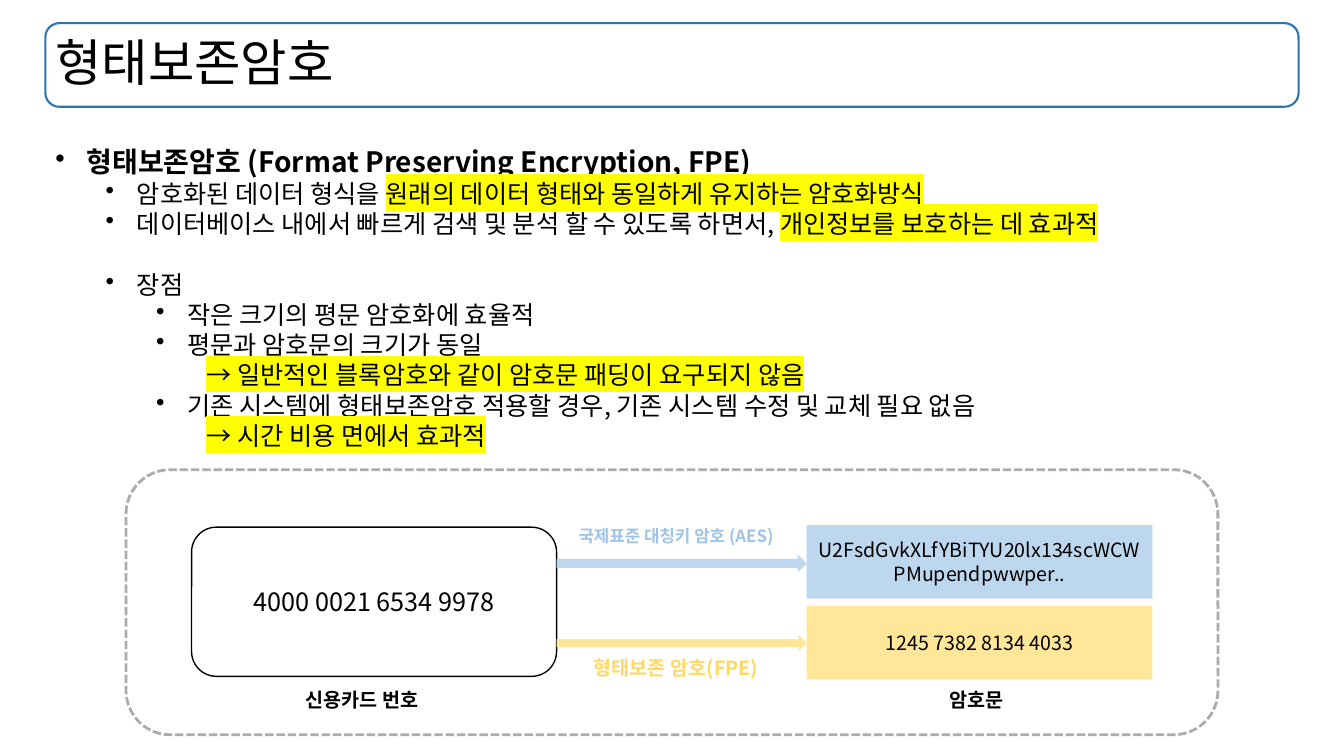
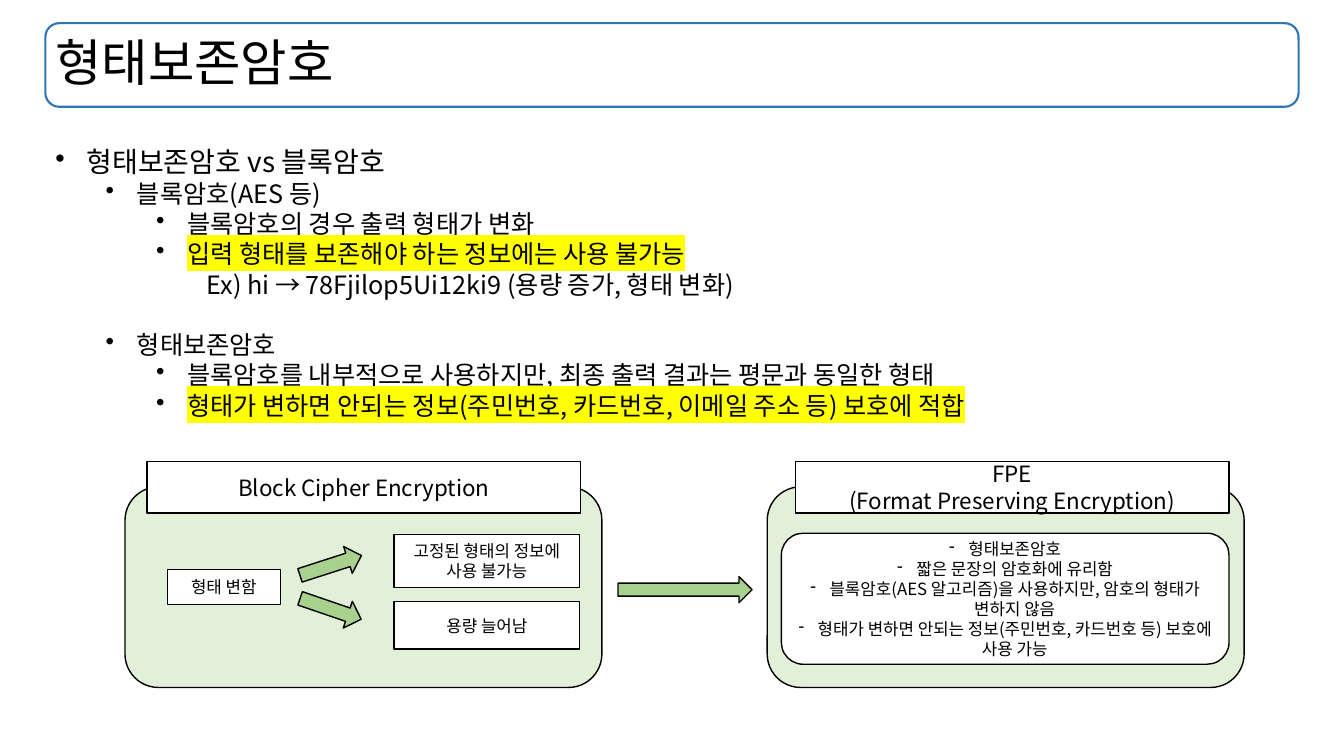
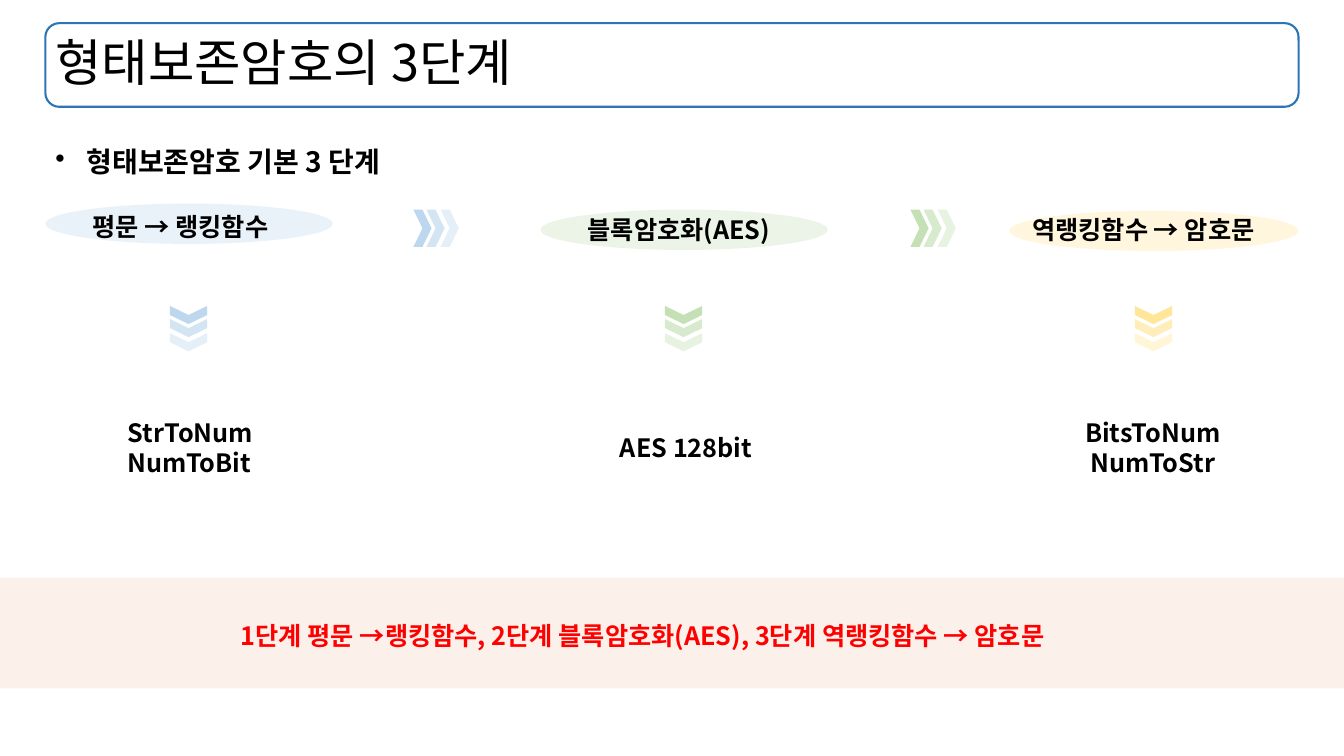
from dataclasses import dataclass
from typing import Any, Optional

import pptx
import pptx.dml.color
import pptx.enum.dml
import pptx.enum.shapes
import pptx.enum.text
import pptx.oxml
import pptx.oxml.ns
import pptx.util

Inches = pptx.util.Inches
Pt = pptx.util.Pt
Shapes = pptx.enum.shapes.MSO_SHAPE
Align = pptx.enum.text.PP_ALIGN
Anchor = pptx.enum.text.MSO_ANCHOR
qn = pptx.oxml.ns.qn

# Shared style
FONT = "Noto Sans CJK KR"
BLACK, WHITE, RED = "000000", "FFFFFF", "FF0000"
TITLE_BLUE, FRAME_GREY, MARKER = "2E75B6", "AFABAB", "FFFF00"
BLUE, GREEN, YELLOW = "BDD7EE", "C5E0B4", "FFE699"
BLUE_TEXT, YELLOW_TEXT = "9DC3E6", "FFD966"
PANEL_GREEN, ARROW_GREEN, BAND = "E2F0D9", "A9D18E", "FBE5D6"
MARGIN, CONTENT_WIDTH = 0.45, 12.43
HANG = 0.31
BLANK_LINE = 21.6


@dataclass(frozen=True)
class Box:
    left: float
    top: float
    width: float
    height: float


@dataclass(frozen=True)
class Style:
    size: float = 18
    color: str = BLACK
    bold: bool = False
    align: Any = Align.LEFT
    bullet: str = ""


@dataclass(frozen=True)
class Outline:
    color: str = BLACK
    width: float = 1
    dash: Any = None


@dataclass(frozen=True)
class Item:
    """One line of the body: plain text followed by marked text."""
    level: int
    plain: str = ""
    marked: str = ""
    bold: bool = False
    gap: float = 0


@dataclass(frozen=True)
class Stage:
    ellipse: Box
    color: str
    heading: str
    heading_box: Box
    chevron_left: float
    details: list[str]
    details_box: Box
    details_align: Any = Align.LEFT


THIN = Outline()
CENTERED = Style(align=Align.CENTER)


def rgb(color: str) -> pptx.dml.color.RGBColor:
    return pptx.dml.color.RGBColor.from_string(color)


def apply_format(target: Any, values: dict[str, Any]) -> None:
    for name, value in values.items():
        setattr(target, name, value)


# Text helpers
def add_run(paragraph: Any, text: str, style: Style, highlight: str = "") -> None:
    run = paragraph.add_run()
    run.text = text
    apply_format(run.font, {"size": Pt(style.size), "bold": style.bold, "name": FONT})
    run.font.color.rgb = rgb(style.color)
    properties = run._r.get_or_add_rPr()
    east_asian = properties.makeelement(qn("a:ea"), {"typeface": FONT})
    properties.find(qn("a:latin")).addnext(east_asian)
    if highlight:
        marker = properties.makeelement(qn("a:highlight"), {})
        marker.append(marker.makeelement(qn("a:srgbClr"), {"val": highlight}))
        properties.find(qn("a:solidFill")).addnext(marker)


def set_indent(paragraph: Any, left: float, hanging: float, bullet: str) -> None:
    properties = paragraph._p.get_or_add_pPr()
    properties.set("marL", str(Inches(left)))
    properties.set("indent", str(-Inches(hanging)))
    if bullet:
        properties.append(properties.makeelement(qn("a:buChar"), {"char": bullet}))


def next_paragraph(frame: Any, index: int) -> Any:
    return frame.paragraphs[0] if index == 0 else frame.add_paragraph()


def write_lines(frame: Any, lines: list[str], style: Style) -> None:
    for index, line in enumerate(lines):
        paragraph = next_paragraph(frame, index)
        if style.bullet:
            set_indent(paragraph, 0.19, 0.19, style.bullet)
        paragraph.alignment = style.align
        add_run(paragraph, line, style)


# Shape helpers
def place(box: Box) -> list[int]:
    return [Inches(value) for value in (box.left, box.top, box.width, box.height)]


def add_shape(slide: Any, kind: Any, box: Box, fill: str = "",
              outline: Optional[Outline] = None, lines: Optional[list[str]] = None,
              style: Style = CENTERED, opacity: int = 100, rotation: float = 0) -> Any:
    shape = slide.shapes.add_shape(kind, *place(box))
    shape.shadow.inherit = False
    shape.rotation = rotation
    if fill:
        shape.fill.solid()
        shape.fill.fore_color.rgb = rgb(fill)
        if opacity < 100:
            color = shape._element.spPr.find(".//" + qn("a:srgbClr"))
            color.append(color.makeelement(qn("a:alpha"), {"val": str(opacity * 1000)}))
    else:
        shape.fill.background()
    if outline:
        shape.line.color.rgb = rgb(outline.color)
        apply_format(shape.line, {"width": Pt(outline.width), "dash_style": outline.dash})
    else:
        shape.line.fill.background()
    if lines:
        apply_format(shape.text_frame, {"word_wrap": True, "vertical_anchor": Anchor.MIDDLE})
        write_lines(shape.text_frame, lines, style)
    return shape


def add_text(slide: Any, box: Box, lines: list[str], style: Style, wrap: bool = True) -> None:
    frame = slide.shapes.add_textbox(*place(box)).text_frame
    frame.word_wrap = wrap
    write_lines(frame, lines, style)


def add_body(slide: Any, height: float, items: list[Item]) -> None:
    box = Box(MARGIN, 1.22, 12.23, height)
    frame = slide.shapes.add_textbox(*place(box)).text_frame
    frame.word_wrap = True
    for index, item in enumerate(items):
        paragraph = next_paragraph(frame, index)
        paragraph.level = item.level
        if item.level == 3:
            set_indent(paragraph, 1.5, 0, "")
        else:
            set_indent(paragraph, HANG + 0.5 * item.level, HANG, "•")
        if item.level == 0:
            paragraph.line_spacing = 1.5
        if item.gap:
            paragraph.space_before = Pt(item.gap)
        style = Style(20 if item.level == 0 else 18, bold=item.bold)
        for text, highlight in ((item.plain, ""), (item.marked, MARKER)):
            if text:
                add_run(paragraph, text, style, highlight)


def new_slide(presentation: Any, title: str) -> Any:
    slide = presentation.slides.add_slide(presentation.slide_layouts[6])
    title_shape = add_shape(slide, Shapes.ROUNDED_RECTANGLE,
                            Box(MARGIN, 0.23, CONTENT_WIDTH, 0.83),
                            outline=Outline(TITLE_BLUE, 1.5), lines=[title], style=Style(36))
    title_shape.text_frame.margin_left = Inches(0.06)
    title_shape.text_frame.paragraphs[0].line_spacing = 0.9
    return slide


# Slide 1: what the method is
def build_overview(presentation: Any) -> None:
    slide = new_slide(presentation, "형태보존암호")
    add_body(slide, 3.97, [
        Item(0, "형태보존암호 (Format Preserving Encryption, FPE)", bold=True),
        Item(1, "암호화된 데이터 형식을 ", "원래의 데이터 형태와 동일하게 유지하는 암호화방식"),
        Item(1, "데이터베이스 내에서 빠르게 검색 및 분석 할 수 있도록 하면서, ",
             "개인정보를 보호하는 데 효과적"),
        Item(1, "장점", gap=BLANK_LINE),
        Item(2, "작은 크기의 평문 암호화에 효율적"),
        Item(2, "평문과 암호문의 크기가 동일"),
        Item(3, marked="→ 일반적인 블록암호와 같이 암호문 패딩이 요구되지 않음"),
        Item(2, "기존 시스템에 형태보존암호 적용할 경우, 기존 시스템 수정 및 교체 필요 없음"),
        Item(3, marked="→ 시간 비용 면에서 효과적"),
    ])

    # Card number and its two ciphertexts
    add_shape(slide, Shapes.ROUNDED_RECTANGLE, Box(1.9, 5.23, 3.62, 1.48), WHITE, THIN,
              ["4000 0021 6534 9978"])
    for arrow_top, arrow_height, result_top, color, ciphertext in (
        (5.5, 0.18, 5.21, BLUE, "U2FsdGvkXLfYBiTYU20lx134scWCWPMupendpwwper.."),
        (6.3, 0.16, 6.01, YELLOW, "1245 7382 8134 4033"),
    ):
        add_shape(slide, Shapes.RIGHT_ARROW, Box(5.52, arrow_top, 2.48, arrow_height), color)
        add_shape(slide, Shapes.RECTANGLE, Box(8, result_top, 3.43, 0.73), color,
                  lines=[ciphertext], style=Style(14, align=Align.CENTER))
    for box, label, size, color in (
        (Box(2.93, 6.78, 1.45, 0.34), "신용카드 번호", 14, BLACK),
        (Box(5.79, 6.46, 1.95, 0.34), "형태보존 암호(FPE)", 14, YELLOW_TEXT),
        (Box(5.64, 5.17, 2.64, 0.3), "국제표준 대칭키 암호 (AES)", 12, BLUE_TEXT),
        (Box(9.32, 6.78, 0.81, 0.34), "암호문", 14, BLACK),
    ):
        add_text(slide, box, [label], Style(size, color, bold=True))
    add_shape(slide, Shapes.ROUNDED_RECTANGLE, Box(1.25, 4.66, 10.83, 2.63),
              outline=Outline(FRAME_GREY, 2, pptx.enum.dml.MSO_LINE.SQUARE_DOT))


# Slide 2: comparison with block ciphers
def build_comparison(presentation: Any) -> None:
    slide = new_slide(presentation, "형태보존암호")
    small = Style(12, align=Align.CENTER)

    # Panels with headers
    for panel_left, header_left, header in (
        (1.24, 1.46, ["Block Cipher Encryption"]),
        (7.61, 7.89, ["FPE", "(Format Preserving Encryption)"]),
    ):
        add_shape(slide, Shapes.ROUNDED_RECTANGLE, Box(panel_left, 4.83, 4.73, 1.99),
                  PANEL_GREEN, THIN)
        add_shape(slide, Shapes.RECTANGLE, Box(header_left, 4.58, 4.3, 0.51), WHITE, THIN,
                  header, Style(16, align=Align.CENTER))

    # Panel contents
    for box, label in (
        (Box(1.66, 5.65, 1.12, 0.35), "형태 변함"),
        (Box(3.91, 5.3, 1.84, 0.53), "고정된 형태의 정보에 사용 불가능"),
        (Box(3.91, 5.97, 1.84, 0.47), "용량 늘어남"),
    ):
        add_shape(slide, Shapes.RECTANGLE, box, WHITE, THIN, [label], small)
    add_shape(slide, Shapes.ROUNDED_RECTANGLE, Box(7.75, 5.29, 4.44, 1.3), WHITE, THIN, [
        "형태보존암호",
        "짧은 문장의 암호화에 유리함",
        "블록암호(AES 알고리즘)을 사용하지만, 암호의 형태가 변하지 않음",
        "형태가 변하면 안되는 정보(주민번호, 카드번호 등) 보호에 사용 가능",
    ], Style(12, align=Align.CENTER, bullet="-"))

    # Arrows
    for box, rotation in (
        (Box(6.13, 5.72, 1.33, 0.26), 0),
        (Box(2.96, 5.47, 0.64, 0.28), 342.1),
        (Box(2.96, 5.9, 0.64, 0.28), 18.9),
    ):
        add_shape(slide, Shapes.RIGHT_ARROW, box, ARROW_GREEN, THIN, rotation=rotation)

    add_body(slide, 3.37, [
        Item(0, "형태보존암호 vs 블록암호"),
        Item(1, "블록암호(AES 등)"),
        Item(2, "블록암호의 경우 출력 형태가 변화"),
        Item(2, marked="입력 형태를 보존해야 하는 정보에는 사용 불가능"),
        Item(3, "Ex) hi → 78Fjilop5Ui12ki9 (용량 증가, 형태 변화)"),
        Item(1, "형태보존암호", gap=BLANK_LINE),
        Item(2, "블록암호를 내부적으로 사용하지만, 최종 출력 결과는 평문과 동일한 형태"),
        Item(2, marked="형태가 변하면 안되는 정보(주민번호, 카드번호, 이메일 주소 등) 보호에 적합"),
    ])


# Slide 3: the three stages
def add_chevrons(slide: Any, left: float, top: float, color: str, down: bool = False) -> None:
    for offset, opacity in ((0, 100), (0.13, 66), (0.27, 39)):
        box = Box(left if down else left + offset, top + offset if down else top, 0.18, 0.37)
        add_shape(slide, Shapes.CHEVRON, box, color, opacity=opacity,
                  rotation=90 if down else 0)


def build_stages(presentation: Any) -> None:
    slide = new_slide(presentation, "형태보존암호의 3단계")
    stages = [
        Stage(Box(0.45, 2.02, 2.85, 0.4), BLUE, "평문 → 랭킹함수", Box(0.82, 2.05, 2.1, 0.4),
              1.78, ["StrToNum", "NumToBit"], Box(1.17, 4.09, 1.63, 0.71)),
        Stage(Box(5.36, 2.08, 2.85, 0.4), GREEN, "블록암호화(AES)", Box(5.73, 2.08, 2.22, 0.4),
              6.69, ["AES 128bit"], Box(6.05, 4.24, 1.65, 0.4)),
        Stage(Box(10.01, 2.09, 2.87, 0.4), YELLOW, "역랭킹함수 → 암호문",
              Box(10.14, 2.08, 2.61, 0.4), 11.35, ["BitsToNum", "NumToStr"],
              Box(10.57, 4.09, 1.73, 0.71), Align.CENTER),
    ]
    for stage in stages:
        add_shape(slide, Shapes.OVAL, stage.ellipse, stage.color, opacity=33)
        add_text(slide, stage.heading_box, [stage.heading], Style(bold=True), wrap=False)
        add_chevrons(slide, stage.chevron_left, 2.94, stage.color, down=True)
        add_text(slide, stage.details_box, stage.details,
                 Style(bold=True, align=stage.details_align), wrap=False)
    for left, color in ((4.1, BLUE), (9.03, GREEN)):
        add_chevrons(slide, left, 2.08, color)

    # Summary band
    add_shape(slide, Shapes.RECTANGLE, Box(0, 5.73, 13.33, 1.1), BAND, opacity=50)
    add_text(slide, Box(2.29, 6.11, 8.97, 0.4),
             ["1단계 평문 →랭킹함수, 2단계 블록암호화(AES), 3단계 역랭킹함수 → 암호문"],
             Style(color=RED, bold=True), wrap=False)
    add_body(slide, 0.56, [Item(0, "형태보존암호 기본 3 단계", bold=True)])


def main() -> None:
    presentation = pptx.Presentation()
    apply_format(presentation, {"slide_width": Inches(13.33), "slide_height": Inches(7.5)})
    for build in (build_overview, build_comparison, build_stages):
        build(presentation)
    presentation.save("out.pptx")


if __name__ == "__main__":
    main()
